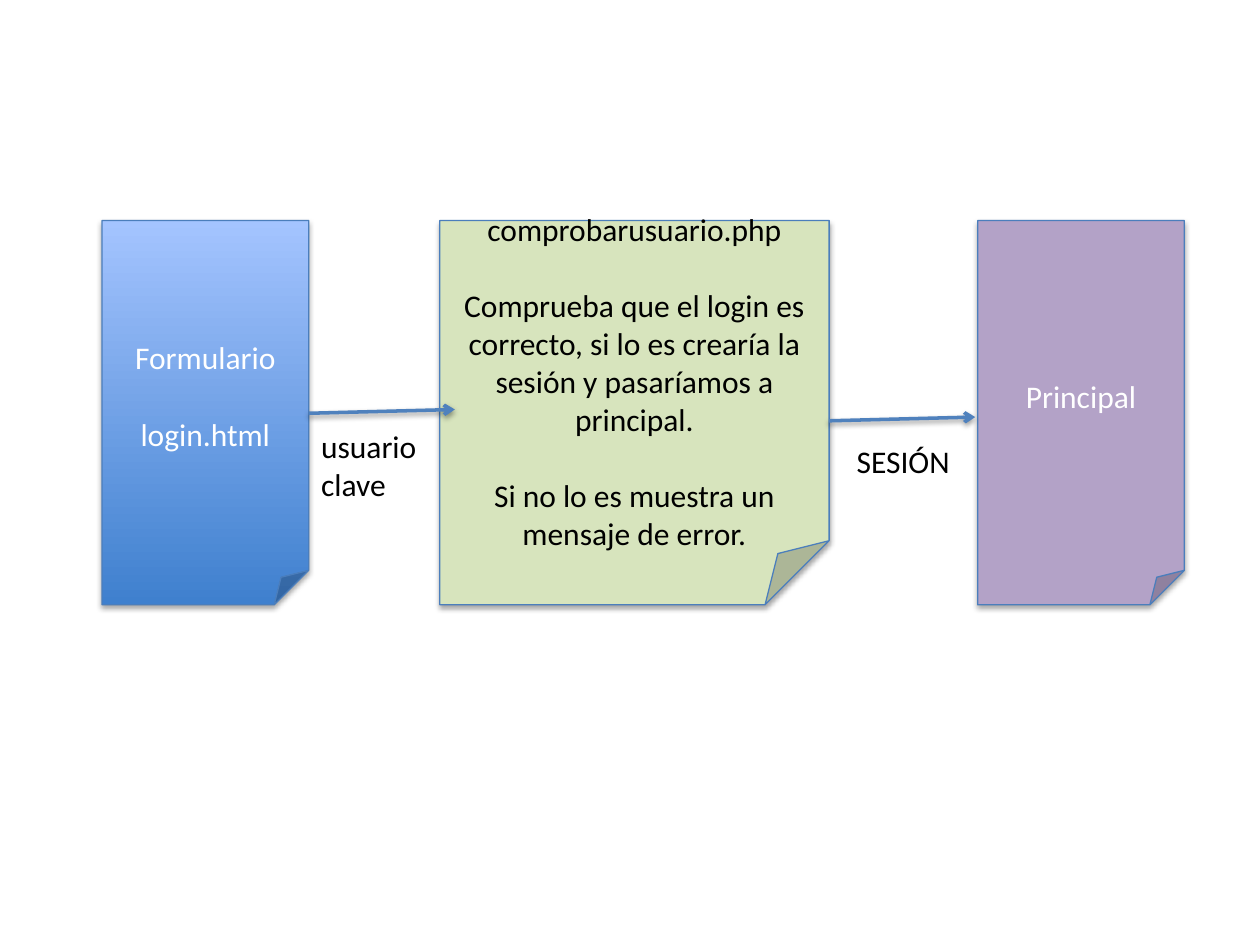
from lxml.etree import SubElement
from pptx import Presentation
from pptx.dml.color import RGBColor
from pptx.enum.shapes import MSO_CONNECTOR, MSO_SHAPE
from pptx.enum.text import MSO_ANCHOR, MSO_AUTO_SIZE, PP_ALIGN
from pptx.oxml.ns import qn
from pptx.util import Inches, Pt

BLACK = RGBColor(0x00, 0x00, 0x00)
WHITE = RGBColor(0xFF, 0xFF, 0xFF)
DEEP_BLUE = RGBColor(0x3F, 0x80, 0xCE)
PALE_BLUE = RGBColor(0xA4, 0xC4, 0xFF)
GREEN = RGBColor(0xD7, 0xE4, 0xBD)
PURPLE = RGBColor(0xB3, 0xA2, 0xC7)
OUTLINE = RGBColor(0x4B, 0x7E, 0xBC)
ARROW = RGBColor(0x4F, 0x81, 0xBD)

PAGE_TOP, PAGE_HEIGHT = 1.75, 3.05
LINE_GAP = Pt(22)


def add_shadow(effects, distance, opacity):
    """Put a soft shadow below the object."""
    shadow = SubElement(effects, qn("a:outerShdw"), blurRad=str(Pt(3.1)),
                        dist=str(Pt(distance)), dir="5400000", rotWithShape="0")
    color = SubElement(shadow, qn("a:srgbClr"), val=str(BLACK))
    SubElement(color, qn("a:alpha"), val=str(opacity * 1000))


def write_lines(frame, lines, color, align, gap=0):
    for index, line in enumerate(lines):
        paragraph = frame.paragraphs[0] if index == 0 else frame.add_paragraph()
        paragraph.alignment = align
        paragraph.space_before = gap if index else 0
        run = paragraph.add_run()
        run.text = line
        run.font.color.rgb = color
        for name, value in {"name": "Calibri", "size": Pt(18)}.items():
            setattr(run.font, name, value)


def add_page(slide, left, width, fills, color, lines):
    """Draw a folded page; two fills make a gradient from bottom to top."""
    shape = slide.shapes.add_shape(MSO_SHAPE.FOLDED_CORNER, Inches(left), Inches(PAGE_TOP),
                                   Inches(width), Inches(PAGE_HEIGHT))
    if len(fills) == 1:
        shape.fill.solid()
        shape.fill.fore_color.rgb = fills[0]
    else:
        shape.fill.gradient()
        shape.fill.gradient_angle = 90
        for stop, fill in zip(shape.fill.gradient_stops, fills):
            stop.color.rgb = fill
    shape.line.color.rgb = OUTLINE
    shape.line.width = Pt(0.75)
    shape.shadow.inherit = False
    add_shadow(shape._element.spPr.find(qn("a:effectLst")), 1.8, 35)
    frame = shape.text_frame
    for name, value in {"word_wrap": True, "vertical_anchor": MSO_ANCHOR.MIDDLE}.items():
        setattr(frame, name, value)
    write_lines(frame, lines, color, PP_ALIGN.CENTER, LINE_GAP)


def add_step(slide, left, top, label_box, lines):
    """Draw a slightly rising arrow and the label below it."""
    arrow = slide.shapes.add_connector(MSO_CONNECTOR.STRAIGHT, Inches(left), Inches(top),
                                       Inches(left + 1.16), Inches(top - 0.03))
    arrow.line.color.rgb = ARROW
    arrow.line.width = Pt(2)
    SubElement(arrow.line._get_or_add_ln(), qn("a:tailEnd"), type="arrow")
    add_shadow(SubElement(arrow._element.spPr, qn("a:effectLst")), 1.6, 38)

    dx, dy, width, height = label_box
    label = slide.shapes.add_textbox(Inches(left + dx), Inches(top + dy),
                                     Inches(width), Inches(height))
    frame = label.text_frame
    for name, value in {"word_wrap": False,
                        "auto_size": MSO_AUTO_SIZE.SHAPE_TO_FIT_TEXT}.items():
        setattr(frame, name, value)
    write_lines(frame, lines, BLACK, PP_ALIGN.LEFT)


def build_login_flow(slide):
    # Pages
    add_page(slide, 0.81, 1.64, [DEEP_BLUE, PALE_BLUE], WHITE, ["Formulario", "login.html"])
    add_page(slide, 3.49, 3.09, [GREEN], BLACK, [
        "comprobarusuario.php",
        "Comprueba que el login es correcto, si lo es crearía la sesión "
        "y pasaríamos a principal.",
        "Si no lo es muestra un mensaje de error.",
    ])
    add_page(slide, 7.76, 1.64, [PURPLE], WHITE, ["Principal"])

    # Arrows with the data they carry
    add_step(slide, 2.45, 3.28, (0, 0.06, 0.97, 0.71), ["usuario", "clave"])
    add_step(slide, 6.58, 3.34, (0.12, 0.12, 0.95, 0.4), ["SESIÓN"])


presentation = Presentation()
presentation.slide_width, presentation.slide_height = Inches(10), Inches(7.5)
build_login_flow(presentation.slides.add_slide(presentation.slide_layouts[6]))
presentation.save("out.pptx")
